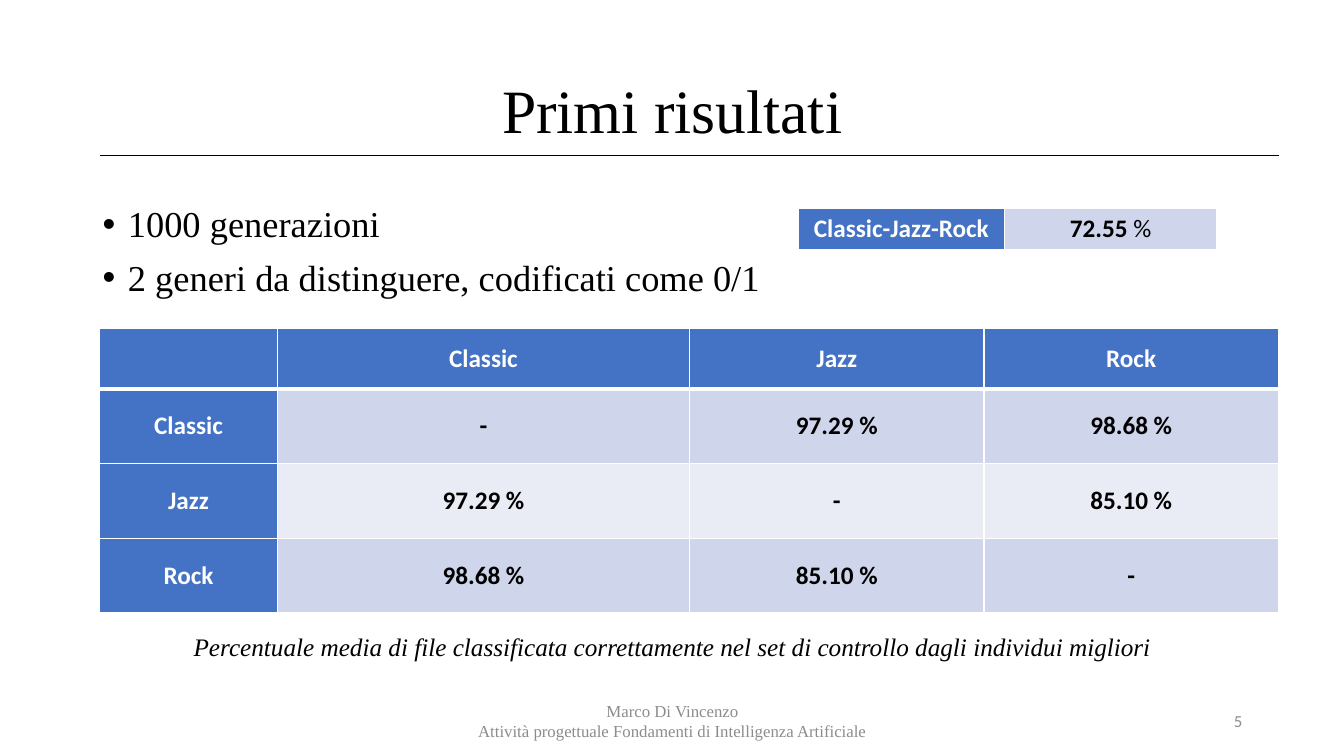
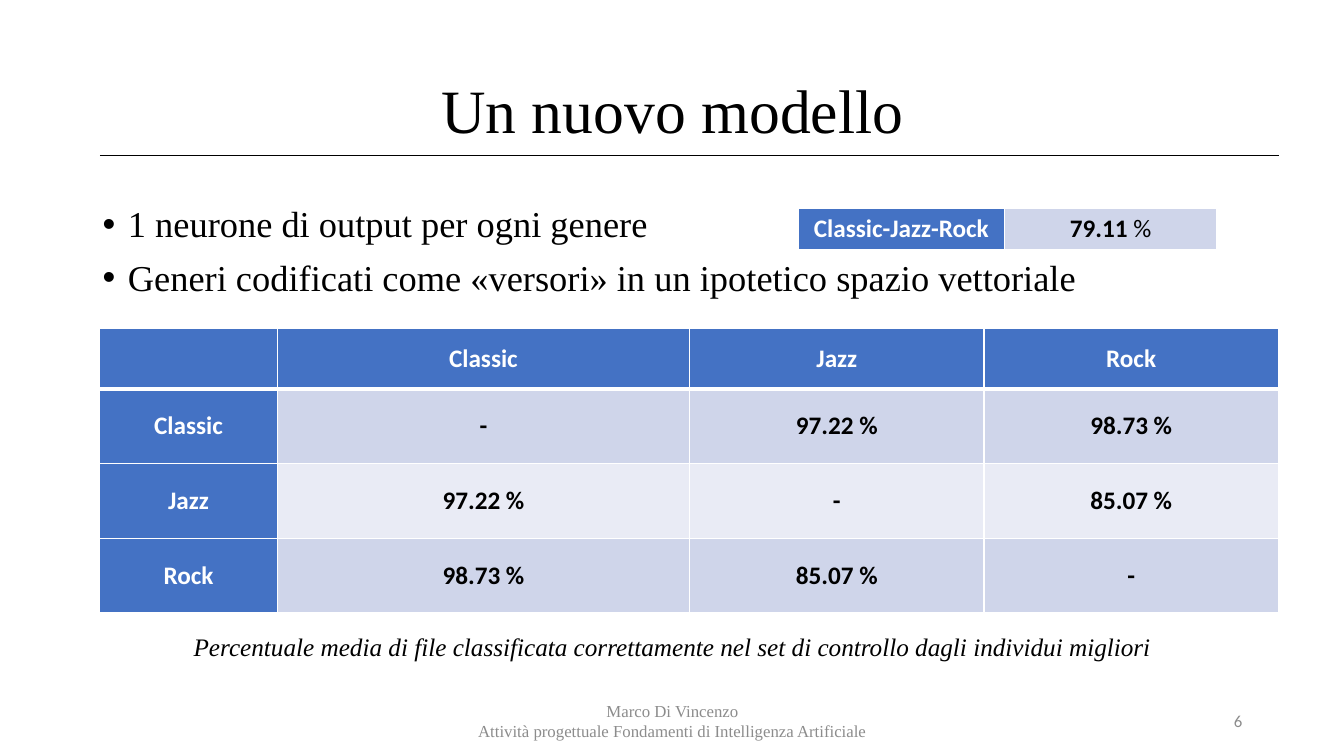
from dataclasses import dataclass

from lxml.etree import SubElement
from pptx import Presentation
from pptx.dml.color import RGBColor
from pptx.enum.shapes import MSO_CONNECTOR
from pptx.enum.text import MSO_ANCHOR, PP_ALIGN
from pptx.oxml import parse_xml
from pptx.oxml.ns import nsdecls, qn
from pptx.util import Inches, Pt


@dataclass(frozen=True)
class Theme:
    ink: str = "000000"
    paper: str = "FFFFFF"
    grey: str = "8C8C8C"
    head: str = "4472C4"
    bands: tuple = ("CFD5EA", "E9EBF5")
    serif: str = "Times New Roman"
    sans: str = "Calibri"
    title: int = 44
    body: int = 26
    table: int = 18
    note: int = 18
    foot: int = 12


T = Theme()
GENRES = ["Classic", "Jazz", "Rock"]
FOOTER = ["Marco Di Vincenzo", "Attività progettuale Fondamenti di Intelligenza Artificiale"]
CAPTION = ("Percentuale media di file classificata correttamente "
           "nel set di controllo dagli individui migliori")


def style(item, values):
    for name, value in values.items():
        setattr(item, name, value)


def add_run(para, text, size, face, color, **marks):
    run = para.add_run()
    run.text = text
    style(run.font, {"size": Pt(size), "name": face, **marks})
    run.font.color.rgb = RGBColor.from_string(color)


def add_text(slide, box, lines, size, face=T.serif, color=T.ink,
             align=PP_ALIGN.CENTER, anchor=MSO_ANCHOR.MIDDLE, form=None, **marks):
    frame = slide.shapes.add_textbox(*map(Inches, box)).text_frame
    style(frame, {"word_wrap": True, "vertical_anchor": anchor})
    for i, line in enumerate(lines):
        para = frame.add_paragraph() if i else frame.paragraphs[0]
        style(para, {"alignment": align, **(form or {})})
        add_run(para, line, size, face, color, **marks)
    return frame


# Title with the rule below it
def add_title(slide, box, text):
    left, top, width, _ = box
    add_text(slide, box, [text], T.title, form={"line_spacing": 0.9})
    x, y = left + 0.07, top + 1.14
    rule = slide.shapes.add_connector(
        MSO_CONNECTOR.STRAIGHT, *map(Inches, (x, y, x + width + 0.2, y)))
    rule.line.width = Pt(0.5)
    rule.line.color.rgb = RGBColor.from_string(T.ink)
    SubElement(rule._element.spPr, qn("a:effectLst"))


# Bulleted points
def add_points(slide, box, points):
    frame = add_text(slide, box, points, T.body, align=PP_ALIGN.LEFT, anchor=MSO_ANCHOR.TOP,
                     form={"line_spacing": 0.9, "space_before": Pt(10)})
    for para in frame.paragraphs:
        props = para._p.get_or_add_pPr()
        props.set("marL", str(Inches(0.25)))
        props.set("indent", str(-Inches(0.25)))
        props.append(parse_xml(f'<a:buFont {nsdecls("a")} typeface="Arial"/>'))
        props.append(parse_xml(f'<a:buChar {nsdecls("a")} char="•"/>'))


def add_edges(cell, widths):
    props = cell._tc.get_or_add_tcPr()
    for i, (side, width) in enumerate(zip("LRTB", widths)):
        props.insert(i, parse_xml(
            f'<a:ln{side} {nsdecls("a")} w="{Pt(width)}"><a:solidFill>'
            f'<a:srgbClr val="{T.paper}"/></a:solidFill></a:ln{side}>'))


# Table with a head column and, if asked, a head row
def add_grid(slide, box, cols, rows, data, top=True):
    grid = slide.shapes.add_table(len(rows), len(cols), *map(Inches, box)).table
    for parts, sizes, name in ((grid.columns, cols, "width"), (grid.rows, rows, "height")):
        for part, size in zip(parts, sizes):
            setattr(part, name, Inches(size))
    for r, line in enumerate(data):
        for c, runs in enumerate(line):
            cell = grid.cell(r, c)
            head = c == 0 or (top and r == 0)
            fill = T.head if head else T.bands[(r - top) % 2]
            cell.fill.solid()
            cell.fill.fore_color.rgb = RGBColor.from_string(fill)
            cell.vertical_anchor = MSO_ANCHOR.MIDDLE
            add_edges(cell, (1, 1, 3 if top and r == 1 else 1, 3 if top and r == 0 else 1))
            para = cell.text_frame.paragraphs[0]
            para.alignment = PP_ALIGN.CENTER
            for text, bold in runs:
                add_run(para, text, T.table, T.sans, T.paper if head else T.ink, bold=bold)


# Accuracy for each pair of genres, mirrored across the diagonal
def add_pairs(slide, box, rates):
    def rate(a, b):
        return "-" if a == b else f"{rates[a + b - 1]} %"

    data = [[[]] + [[(name, True)] for name in GENRES]]
    for a, name in enumerate(GENRES):
        data.append([[(name, True)]] + [[(rate(a, b), True)] for b in range(len(GENRES))])
    add_grid(slide, box, [1.76, 4.09, 2.92, 2.92], [0.6] + [0.74] * 3, data)


# Accuracy over all genres together
def add_total(slide, box, value):
    data = [[[("-".join(GENRES), True)], [(value, True), (" %", False)]]]
    add_grid(slide, box, [2.04, 2.11], [box[3]], data, top=False)


# Footer and slide number
def add_footer(slide, box, number):
    left, top, width, height = box
    add_text(slide, box, FOOTER, T.foot, color=T.grey)
    add_text(slide, (left + width + 0.5, top, 3, height), [str(number)], T.foot,
             T.sans, T.grey, PP_ALIGN.RIGHT)


def add_results(deck, number, title, points, total, rates):
    slide = deck.slides.add_slide(deck.slide_layouts[6])
    add_title(slide, (0.92, 0.4, 11.5, 1.45), title)
    add_points(slide, (0.92, 2, 11.5, 1.19), points)
    add_footer(slide, (4.42, 6.95, 4.5, 0.4), number)
    add_pairs(slide, (0.99, 3.26, 11.7, 2.83), rates)
    add_total(slide, (7.92, 2.07, 4.16, 0.41), total)
    add_text(slide, (1.45, 6.21, 10.44, 0.4), [CAPTION], T.note, italic=True)


deck = Presentation()
style(deck, {"slide_width": Inches(13.33), "slide_height": Inches(7.5)})

# Rates run Classic-Jazz, Classic-Rock, Jazz-Rock
add_results(deck, 5, "Primi risultati",
            ["1000 generazioni", "2 generi da distinguere, codificati come 0/1"],
            "72.55", ["97.29", "98.68", "85.10"])
add_results(deck, 6, "Un nuovo modello",
            ["1 neurone di output per ogni genere",
             "Generi codificati come «versori» in un ipotetico spazio vettoriale"],
            "79.11", ["97.22", "98.73", "85.07"])

deck.save("out.pptx")
